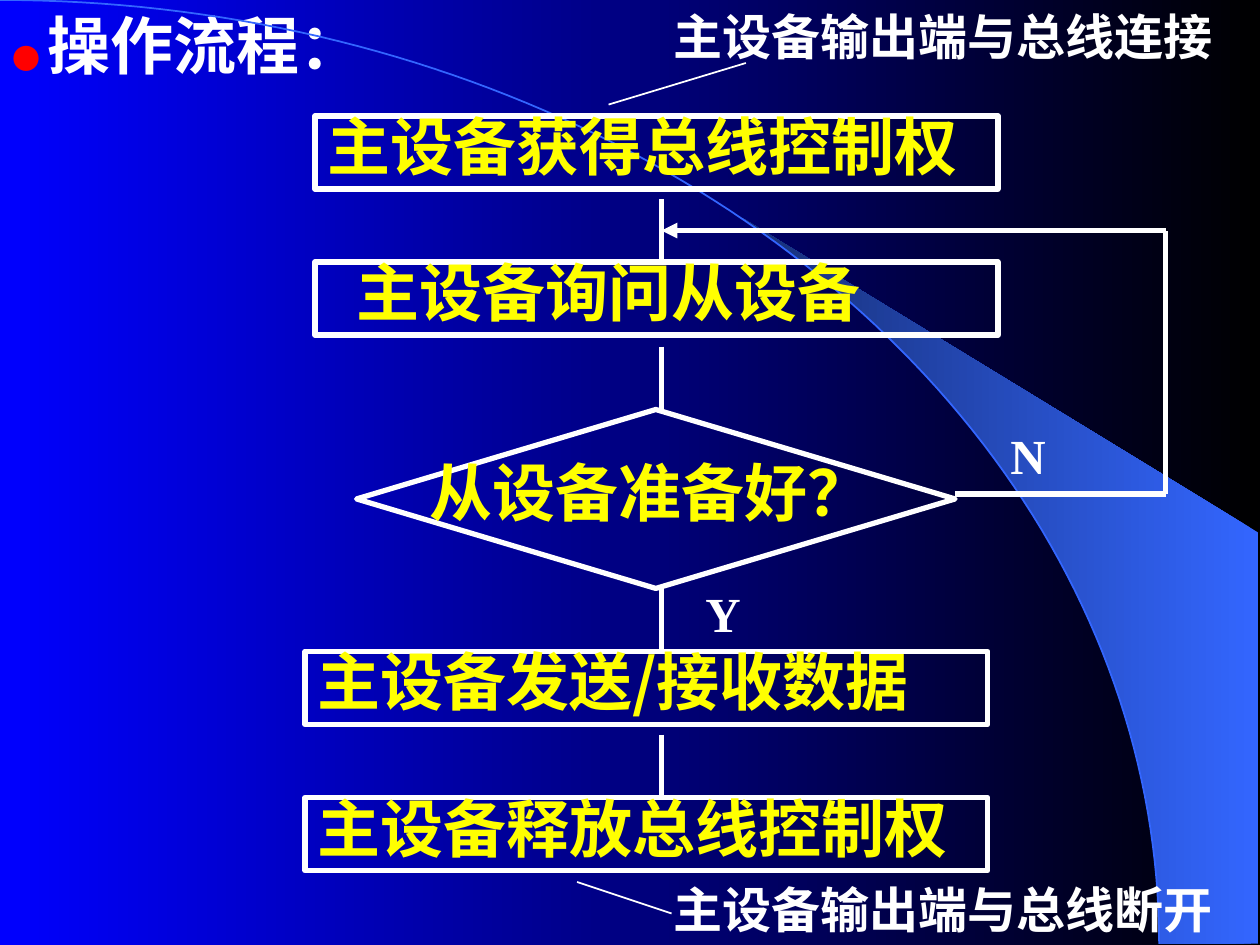
import math
from lxml import etree
from pptx import Presentation
from pptx import util as u
from pptx.dml.color import RGBColor
from pptx.enum import shapes, text
from pptx.oxml.ns import qn

SANS, SERIF = "Noto Sans CJK SC", "Times New Roman"
WHITE, YELLOW, RED = "FFFFFF", "FFFF00", "FF0000"
BLACK, BLUE, SKY, NAVY = "000000", "0000FF", "3366FF", "172F75"


def color(value):
    return RGBColor.from_string(value)


def inches(*values):
    return [u.Inches(value) for value in values]


def paint_gradient(fill, start, end):
    fill.gradient()
    fill.gradient_angle = 180
    for stop, value in zip(fill.gradient_stops, (start, end)):
        stop.color.rgb = color(value)


def set_line(shape, width, value=WHITE):
    shape.line.color.rgb = color(value)
    shape.line.width = u.Pt(width)


def add_span(para, words, size, value, font=SANS):
    span = para.add_run()
    span.text = words
    span.font.size = u.Pt(size)
    span.font.bold = True
    span.font.name = font
    span.font.color.rgb = color(value)
    east_asian = etree.SubElement(span.font._element, qn("a:ea"))
    east_asian.set("typeface", SANS)


def start_text(shape, spacing=1.0, indent=0):
    frame = shape.text_frame
    frame.word_wrap = True
    frame.auto_size = text.MSO_AUTO_SIZE.NONE
    frame.vertical_anchor = text.MSO_ANCHOR.TOP
    para = frame.paragraphs[0]
    para.alignment = text.PP_ALIGN.LEFT
    para.line_spacing = spacing
    para.space_before = u.Pt(0)
    if indent:
        para._p.get_or_add_pPr().set("marL", str(u.Inches(indent)))
    return para


def add_line(page, start, end, width=3, arrow=False):
    line = page.shapes.add_connector(
        shapes.MSO_CONNECTOR.STRAIGHT, *inches(*start, *end))
    set_line(line, width)
    properties = line._element.spPr
    if arrow:
        tail = etree.SubElement(line.line._get_or_add_ln(), qn("a:tailEnd"))
        tail.set("type", "triangle")
    etree.SubElement(properties, qn("a:effectLst"))


def add_outline(page, points, closed):
    points = [inches(*point) for point in points]
    builder = page.shapes.build_freeform(*points[0])
    builder.add_line_segments(points[1:], close=closed)
    shape = builder.convert_to_shape()
    shape.shadow.inherit = False
    return shape


def add_backdrop(page, width, height):
    paint_gradient(page.background.fill, BLACK, BLUE)

    def arc_point(angle):
        angle = math.radians(angle)
        return width * math.sin(angle), height * (1 - math.cos(angle))

    beam_edge = [arc_point(angle) for angle in range(40, 91, 2)]
    beam = add_outline(
        page, [(9.99, 7.49), (9.99, 4.23), (5.89, 1.73)] + beam_edge, True)
    paint_gradient(beam.fill, SKY, NAVY)
    beam.line.fill.background()
    arc = add_outline(page, [arc_point(angle) for angle in range(91)], False)
    arc.fill.background()
    set_line(arc, 1, SKY)


def add_title(page, box):
    title = page.shapes.title
    title.left, title.top, title.width, title.height = inches(*box)
    para = start_text(title)
    add_span(para, "●", 16, RED)
    add_span(para, " ", 18, RED)
    add_span(para, "操作流程：", 36, WHITE)


def add_outlined(page, kind, box):
    shape = page.shapes.add_shape(kind, *inches(*box))
    shape.shadow.inherit = False
    shape.fill.background()
    set_line(shape, 3)
    return shape


def add_step(page, box, words, indent=0):
    shape = add_outlined(page, shapes.MSO_SHAPE.RECTANGLE, box)
    add_span(start_text(shape, 0.8, indent), words, 36, YELLOW)


def add_decision(page, box, words):
    left, top, width, height = box
    add_outlined(page, shapes.MSO_SHAPE.FLOWCHART_DECISION, box)
    label = page.shapes.add_textbox(
        *inches(left + 0.25, top + 0.42, width - 0.25, 0.58))
    add_span(start_text(label, 0.8, 0.23), words, 36, YELLOW)


def add_label(page, box, words):
    label = page.shapes.add_textbox(*inches(*box))
    add_span(start_text(label), words, 28, WHITE, SERIF)


def add_flow(page, axis):
    steps = [
        (2.5, 0.92, "主设备获得总线控制权", 0),
        (2.5, 2.08, "主设备询问从设备", 0.23),
        (2.42, 5.17, "主设备发送/接收数据", 0),
        (2.42, 6.33, "主设备释放总线控制权", 0),
    ]
    for left, top, words, indent in steps:
        add_step(page, (left, top, 5.42, 0.58), words, indent)
    add_decision(page, (2.83, 3.25, 4.75, 1.42), "从设备准备好？")
    for top in (1.58, 2.75, 4.67, 5.83):
        add_line(page, (axis, top), (axis, top + 0.5))
    loop = [(7.58, 3.92), (9.25, 3.92), (9.25, 1.83), (axis, 1.83)]
    for start, end in zip(loop, loop[1:]):
        add_line(page, start, end, arrow=end == loop[-1])
    add_label(page, (5.5, 4.58, 0.83, 0.57), "Y")
    add_label(page, (7.92, 3.33, 0.83, 0.57), "N")


def add_note(page, box, words, start, end):
    add_line(page, start, end, width=1)
    add_label(page, box, words)


def main():
    deck = Presentation()
    deck.slide_width, deck.slide_height = inches(10, 7.5)
    page = deck.slides.add_slide(deck.slide_layouts[5])
    add_backdrop(page, 9.2, 7.49)
    add_title(page, (0, 0, 3.58, 0.7))
    add_flow(page, 5.25)
    add_note(page, (5.25, 0, 4.75, 0.57), "主设备输出端与总线连接",
             (4.83, 0.83), (5.92, 0.5))
    add_note(page, (5.25, 6.93, 4.75, 0.57), "主设备输出端与总线断开",
             (4.58, 7), (5.33, 7.25))
    deck.save("out.pptx")


if __name__ == "__main__":
    main()
